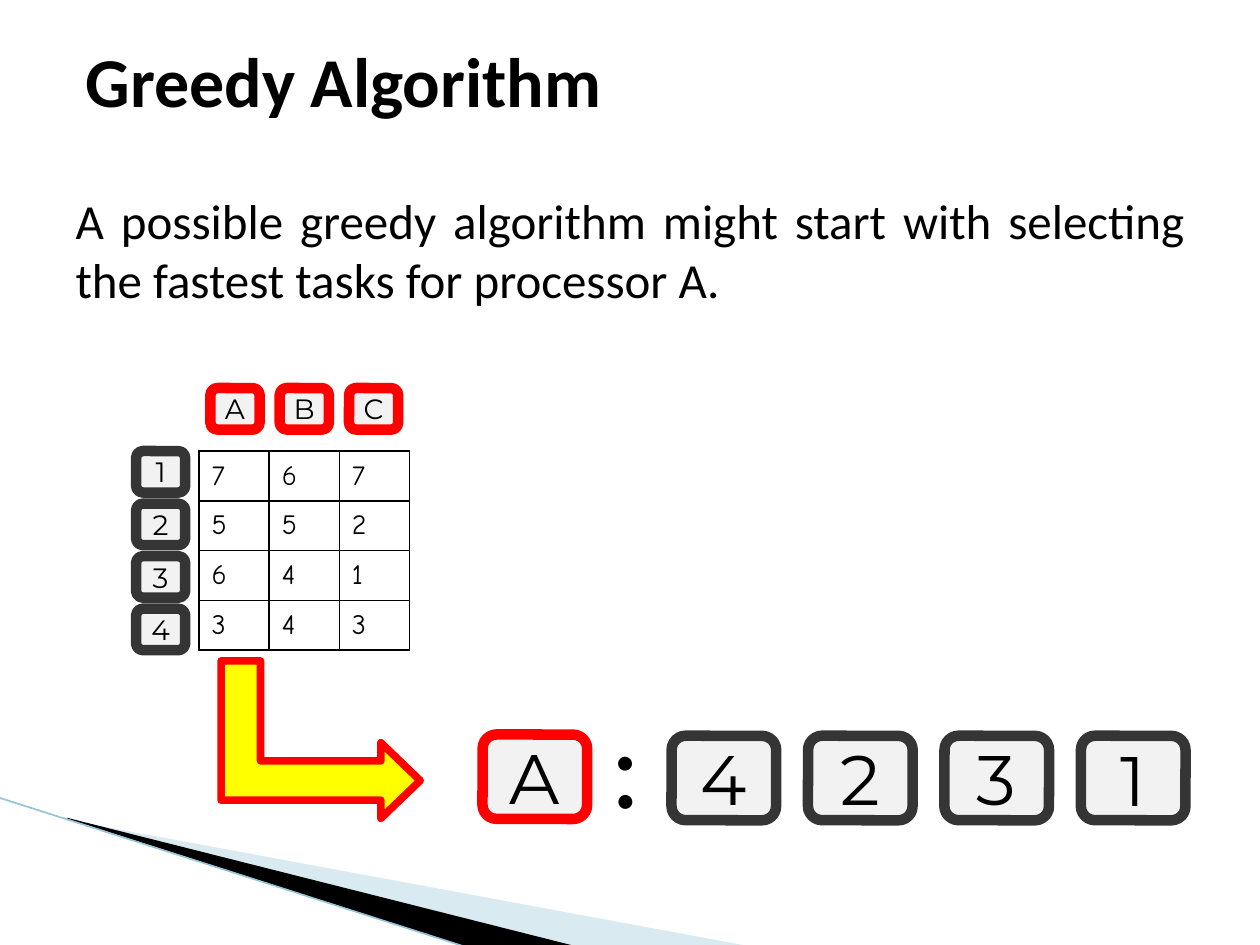
"""Build the Greedy Algorithm slide with its task-time table and processor order."""
from lxml import etree
from pptx import Presentation
from pptx.dml.color import RGBColor
from pptx.enum.shapes import MSO_CONNECTOR, MSO_SHAPE
from pptx.enum.text import MSO_ANCHOR, MSO_AUTO_SIZE, PP_ALIGN
from pptx.oxml.ns import qn
from pptx.util import Inches, Pt

ROUNDED, BENT_ARROW = MSO_SHAPE.ROUNDED_RECTANGLE, MSO_SHAPE.BENT_UP_ARROW
STRAIGHT = MSO_CONNECTOR.STRAIGHT
TOP, MIDDLE = MSO_ANCHOR.TOP, MSO_ANCHOR.MIDDLE
LEFT, CENTER, JUSTIFY = PP_ALIGN.LEFT, PP_ALIGN.CENTER, PP_ALIGN.JUSTIFY
NO_AUTOFIT = MSO_AUTO_SIZE.NONE

BLACK = RGBColor(0x00, 0x00, 0x00)
WHITE = RGBColor(0xFF, 0xFF, 0xFF)
RED = RGBColor(0xFF, 0x00, 0x00)
YELLOW = RGBColor(0xFF, 0xFF, 0x00)
CHARCOAL = RGBColor(0x35, 0x35, 0x35)
TILE_GRAY = RGBColor(0xF2, 0xF2, 0xF2)
PALE_BLUE = RGBColor(0xA0, 0xCB, 0xDC)
EDGE_BLUE = RGBColor(0x97, 0xC5, 0xD8)


def write(frame, text, size, font="Calibri", bold=False, align=LEFT, anchor=TOP):
    frame.text = text
    frame.vertical_anchor = anchor
    paragraph = frame.paragraphs[0]
    paragraph.alignment = align
    paragraph.space_before = Pt(0)
    run_font = paragraph.runs[0].font
    run_font.name, run_font.size, run_font.bold = font, Pt(size), bold
    run_font.color.rgb = BLACK


def add_tile(text, left, top, width, height, size, border):
    tile = slide.shapes.add_shape(
        ROUNDED, Inches(left), Inches(top), Inches(width), Inches(height))
    tile.rotation = 0.1
    tile.shadow.inherit = False
    tile.fill.solid()
    tile.fill.fore_color.rgb = TILE_GRAY
    tile.line.color.rgb = border
    tile.line.width = Pt(6)
    frame = tile.text_frame
    frame.margin_left = frame.margin_right = frame.margin_top = frame.margin_bottom = 0
    frame.word_wrap = False
    write(frame, text, size, font="Montserrat", align=CENTER, anchor=MIDDLE)


prs = Presentation()
prs.slide_width, prs.slide_height = Inches(10), Inches(7.5)
slide = prs.slides.add_slide(prs.slide_layouts[1])

wedges = [
    ([(0.55, 6.51), (5.95, 7.51), (4.56, 7.51), (0.55, 6.5)], PALE_BLUE, 40),
    ([(0.53, 6.49), (4.57, 7.51), (3.72, 7.52), (0.54, 6.5)], BLACK, 100),
]
for points, color, opacity in wedges:
    corners = [(Inches(x), Inches(y)) for x, y in points]
    builder = slide.shapes.build_freeform(*corners[0])
    builder.add_line_segments(corners[1:], close=True)
    wedge = builder.convert_to_shape()
    wedge.shadow.inherit = False
    wedge.fill.solid()
    wedge.fill.fore_color.rgb = color
    wedge.line.fill.background()
    if opacity < 100:
        color_xml = wedge._element.spPr.find(qn("a:solidFill"))[0]
        etree.SubElement(color_xml, qn("a:alpha"), val=str(opacity * 1000))

edge = slide.shapes.add_connector(
    STRAIGHT, Inches(-0.01), Inches(6.33), Inches(3.71), Inches(7.52))
edge.line.color.rgb = EDGE_BLUE
edge.line.width = Pt(0.95)
etree.SubElement(edge._element.spPr, qn("a:effectLst"))

title = slide.shapes.title
title.left, title.top, title.width, title.height = (
    Inches(0.58), Inches(0.25), Inches(6.67), Inches(0.77))
title.text_frame.auto_size = NO_AUTOFIT
write(title.text_frame, "Greedy Algorithm", 40, bold=True)

body = slide.placeholders[1]
body.left, body.top, body.width, body.height = (
    Inches(0.5), Inches(1.46), Inches(9), Inches(1.04))
body.text_frame.auto_size = NO_AUTOFIT
write(body.text_frame,
      "A possible greedy algorithm might start with selecting "
      "the fastest tasks for processor A.", 28, align=JUSTIFY)
body_format = body.text_frame.paragraphs[0]._p.get_or_add_pPr()
body_format.set("marL", "0")
body_format.set("indent", "0")
etree.SubElement(body_format, qn("a:buNone"))

for index, task in enumerate("1234"):
    add_tile(task, 1.08, 3.58 + index * 0.417, 0.39, 0.33, 16, CHARCOAL)
for index, processor in enumerate("ABC"):
    add_tile(processor, 1.67 + index * 0.55, 3.08, 0.39, 0.33, 16, RED)

task_times = [(7, 6, 7), (5, 5, 2), (6, 4, 1), (3, 4, 3)]
times_table = slide.shapes.add_table(
    4, 3, Inches(1.58), Inches(3.58), Inches(1.67), Inches(1.58)).table
times_table.first_row = times_table.horz_banding = False
for column in times_table.columns:
    column.width = Inches(1.67 / 3)
for row, times in zip(times_table.rows, task_times):
    row.height = Inches(1.58 / 4)
    for cell, time in zip(row.cells, times):
        write(cell.text_frame, str(time), 16, font="Comic Neue")
        cell.vertical_anchor = MIDDLE
        cell_format = cell._tc.get_or_add_tcPr()
        for side in ("lnL", "lnR", "lnT", "lnB"):
            border = etree.SubElement(cell_format, qn(f"a:{side}"), w=str(Pt(1)))
            border_fill = etree.SubElement(border, qn("a:solidFill"))
            etree.SubElement(border_fill, qn("a:srgbClr"), val=str(BLACK))
        cell.fill.solid()
        cell.fill.fore_color.rgb = WHITE

arrow = slide.shapes.add_shape(
    BENT_ARROW, Inches(1.92), Inches(5.08), Inches(1.25), Inches(1.58))
arrow.rotation = 90
arrow.adjustments[1] = 0.24
arrow.shadow.inherit = False
arrow.fill.solid()
arrow.fill.fore_color.rgb = YELLOW
arrow.line.color.rgb = RED
arrow.line.width = Pt(4.33)

for index, task in enumerate("4231"):
    add_tile(task, 5.33 + index * 1.083, 5.84, 0.83, 0.67, 40, CHARCOAL)
add_tile("A", 3.83, 5.83, 0.83, 0.67, 40, RED)

colon = slide.shapes.add_textbox(Inches(4.75), Inches(5.45), Inches(0.45), Inches(1.21))
colon.text_frame.word_wrap = False
write(colon.text_frame, ":", 66)

prs.save("out.pptx")
